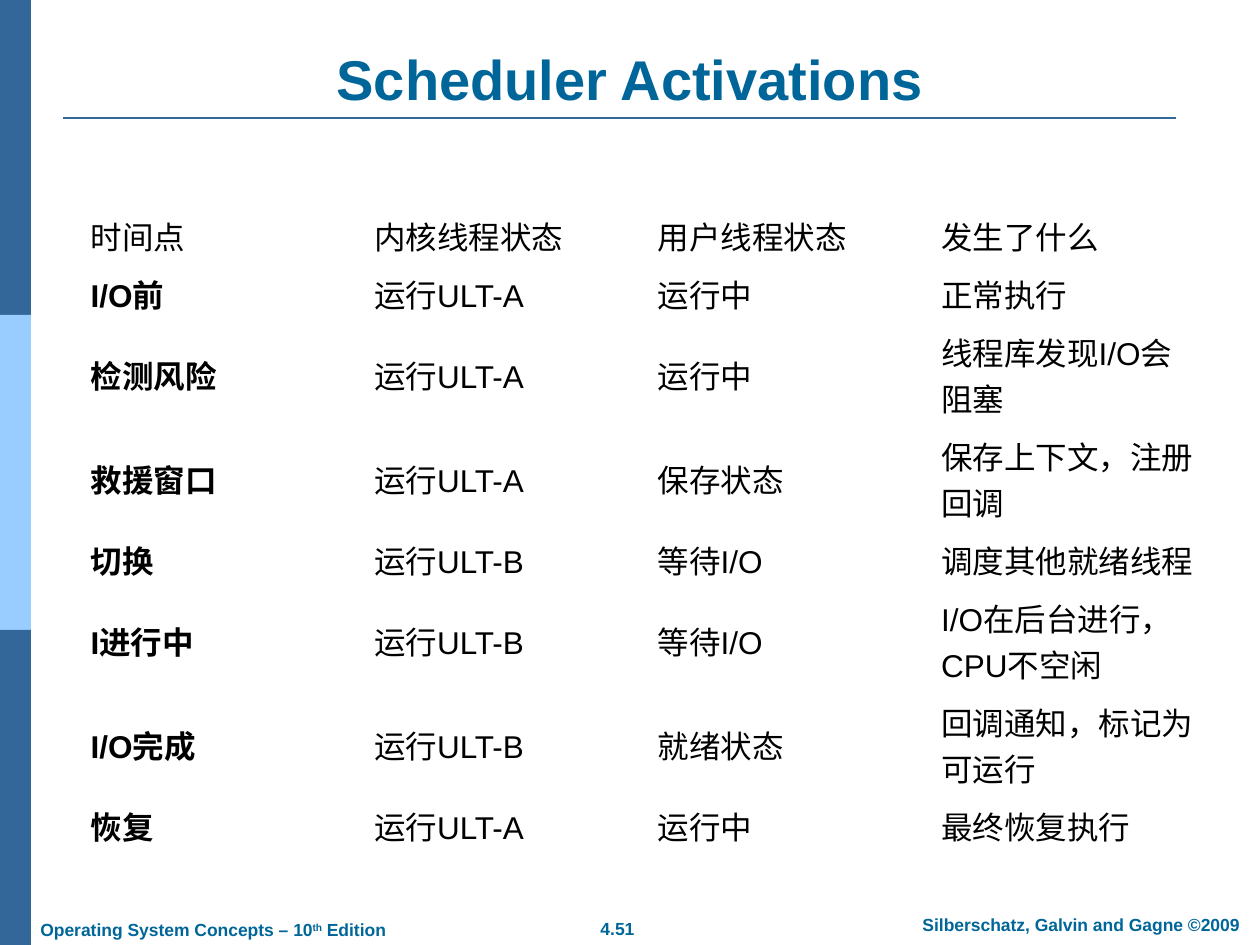
from pptx import Presentation
from pptx.dml.color import RGBColor
from pptx.enum.shapes import MSO_CONNECTOR, MSO_SHAPE
from pptx.enum.text import MSO_ANCHOR, MSO_AUTO_SIZE, PP_ALIGN
from pptx.oxml.ns import qn
from pptx.util import Pt
from lxml import etree

RECTANGLE = MSO_SHAPE.RECTANGLE
STRAIGHT = MSO_CONNECTOR.STRAIGHT
LEFT, CENTER = PP_ALIGN.LEFT, PP_ALIGN.CENTER
MIDDLE, BOTTOM = MSO_ANCHOR.MIDDLE, MSO_ANCHOR.BOTTOM
FIXED, GROW = MSO_AUTO_SIZE.NONE, MSO_AUTO_SIZE.SHAPE_TO_FIT_TEXT

EMU_PER_PX = 914400 / 126
TITLE_ONLY = 5
PLAIN_TABLE_STYLE = "{2D5ABB26-0587-4C30-8999-92F81FD0307C}"
COLORS = {"dark": "336699", "light": "99CCFF", "heading": "006699", "body": "000000"}

TITLE_FONT = {"name": "Arial", "size": Pt(32), "bold": True}
FOOTER_FONT = {"name": "Arial", "size": Pt(10), "bold": True}
CELL_FONT = {"name": "Arial", "size": Pt(18), "bold": False}

ROW_HEIGHT, TALL_ROW_HEIGHT = 58, 104
TALL_ROWS = (2, 3, 5, 6)
STATES = [
    ("时间点", "内核线程状态", "用户线程状态", "发生了什么"),
    ("I/O前", "运行ULT-A", "运行中", "正常执行"),
    ("检测风险", "运行ULT-A", "运行中", "线程库发现I/O会阻塞"),
    ("救援窗口", "运行ULT-A", "保存状态", "保存上下文，注册回调"),
    ("切换", "运行ULT-B", "等待I/O", "调度其他就绪线程"),
    ("I进行中", "运行ULT-B", "等待I/O", "I/O在后台进行，CPU不空闲"),
    ("I/O完成", "运行ULT-B", "就绪状态", "回调通知，标记为可运行"),
    ("恢复", "运行ULT-A", "运行中", "最终恢复执行"),
]


def px(*lengths):
    return [round(length * EMU_PER_PX) for length in lengths]


def rgb(color):
    return RGBColor.from_string(COLORS[color])


def set_format(target, values):
    for name, value in values.items():
        setattr(target, name, value)


def add_span(para, text, font, color):
    span = para.add_run()
    span.text = text
    set_format(span.font, font)
    span.font.color.rgb = rgb(color)
    return span


def add_band(page, top, color):
    band = page.shapes.add_shape(RECTANGLE, *px(0, top, 31, 315))
    band.shadow.inherit = False
    band.fill.solid()
    band.fill.fore_color.rgb = rgb(color)
    band.line.fill.background()


def add_rule(page, left, right, y):
    rule = page.shapes.add_connector(STRAIGHT, *px(left, y, right, y))
    rule.line.color.rgb = rgb("dark")
    rule.line.width = Pt(1.5)
    etree.SubElement(rule._element.spPr, qn("a:effectLst"))


def add_title(page, text):
    title = page.shapes.title
    title.left, title.top, title.width, title.height = px(63, 38, 1134, 80)
    set_format(title.text_frame, {"vertical_anchor": BOTTOM, "auto_size": FIXED})
    para = title.text_frame.paragraphs[0]
    para.alignment = CENTER
    add_span(para, text, TITLE_FONT, "heading")


def add_footer(page, place, alignment, texts):
    """Write texts in one line; every second one is superscript."""
    box = page.shapes.add_textbox(*px(*place))
    set_format(box.text_frame, {"word_wrap": True, "auto_size": GROW})
    para = box.text_frame.paragraphs[0]
    para.alignment = alignment
    for index, text in enumerate(texts):
        span = add_span(para, text, FOOTER_FONT, "heading")
        if index % 2:
            span.font._element.set("baseline", "30000")


def add_state_table(page, rows):
    heights = [TALL_ROW_HEIGHT if index in TALL_ROWS else ROW_HEIGHT
               for index in range(len(rows))]
    frame = page.shapes.add_table(len(rows), len(rows[0]),
                                  *px(78, 207, 1134, sum(heights)))
    table = frame.table
    set_format(table, {"first_row": False, "horz_banding": False})
    table._tbl.tblPr.find(qn("a:tableStyleId")).text = PLAIN_TABLE_STYLE
    for row_index, texts in enumerate(rows):
        table.rows[row_index].height = px(heights[row_index])[0]
        for column_index, text in enumerate(texts):
            cell = table.cell(row_index, column_index)
            cell.fill.background()
            cell.vertical_anchor = MIDDLE
            is_label = row_index > 0 and column_index == 0
            add_span(cell.text_frame.paragraphs[0], text,
                     {**CELL_FONT, "bold": is_label}, "body")


def main():
    deck = Presentation()
    deck.slide_width, deck.slide_height = px(1260, 945)
    page = deck.slides.add_slide(deck.slide_layouts[TITLE_ONLY])

    # Side bands and title rule
    for index, color in enumerate(("dark", "light", "dark")):
        add_band(page, index * 315, color)
    add_rule(page, 63, 1176, 118)

    # Footer
    add_footer(page, (556, 912, 123, 34), CENTER, ["4.51"])
    add_footer(page, (894, 908, 374, 34), CENTER,
               ["Silberschatz, Galvin and Gagne ©2009"])
    add_footer(page, (28, 913, 390, 34), LEFT,
               ["Operating System Concepts – 10", "th", " Edition"])

    # Title and thread states
    add_title(page, "Scheduler Activations")
    add_state_table(page, STATES)

    deck.save("out.pptx")


if __name__ == "__main__":
    main()
